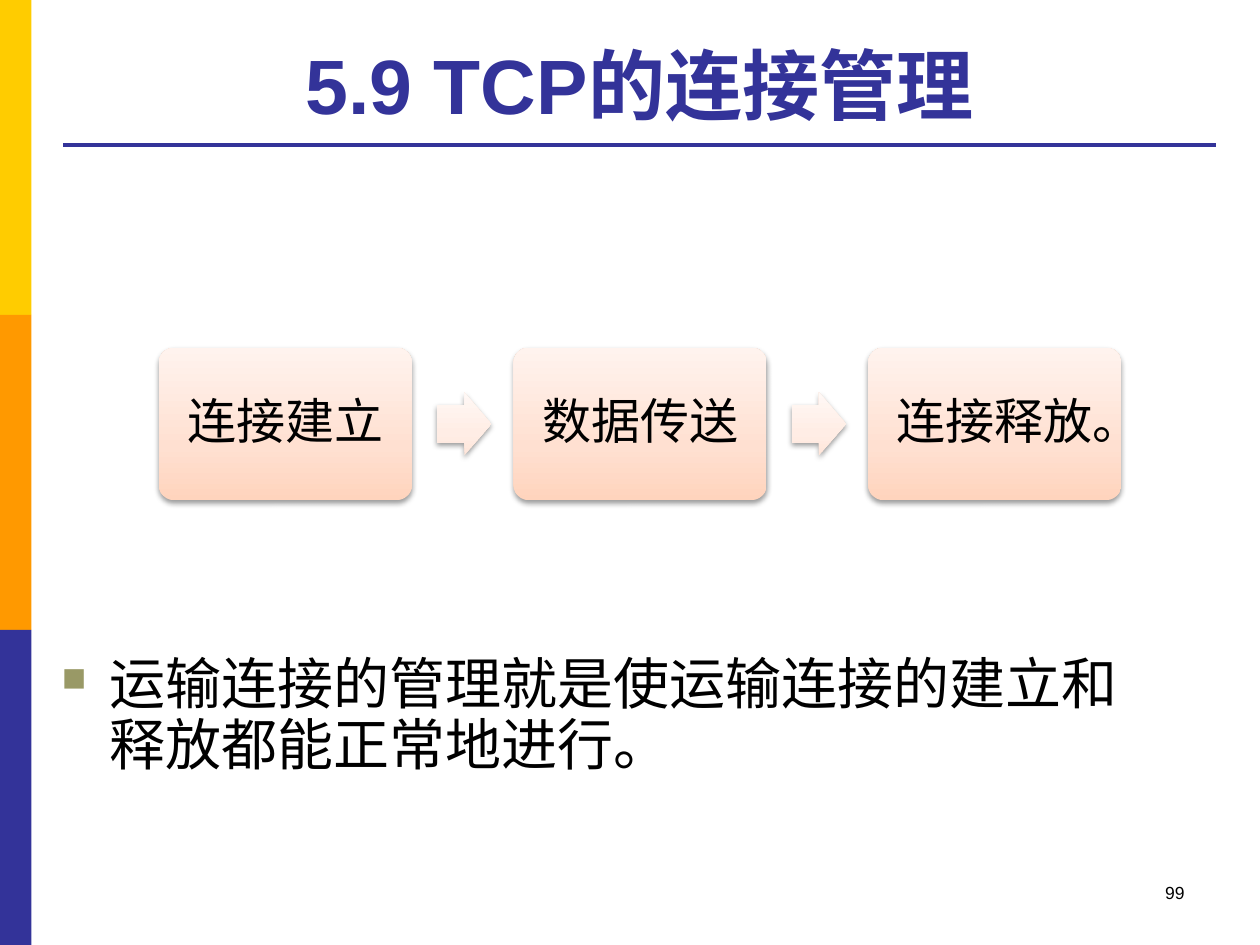
from lxml import etree
from pptx import Presentation, util as u
from pptx.dml.color import RGBColor
from pptx.enum import shapes, text
from pptx.oxml.ns import qn


def paint(color, hex_color):
    """Give a fill or font the hex colour."""
    if hasattr(color, "solid"):
        color.solid()
        color.fore_color.rgb = RGBColor.from_string(hex_color)
    else:
        color.color.rgb = RGBColor.from_string(hex_color)


def add_child(parent, tag, **attrs):
    return etree.SubElement(parent, qn(tag), attrs)


prs = Presentation()
prs.slide_width, prs.slide_height = u.Inches(10), u.Inches(7.5)
W, H = prs.slide_width, prs.slide_height
s = prs.slides.add_slide(prs.slide_layouts[5])

# Side band in three equal parts
for i, color in enumerate(["FFCC00", "FF9900", "333399"]):
    sp = s.shapes.add_shape(shapes.MSO_SHAPE.RECTANGLE,
                            0, H * i // 3, W // 40, H // 3)
    sp.shadow.inherit = False
    paint(sp.fill, color)
    sp.line.fill.background()

# Title and rule
left, width = int(W * 0.05), int(W * 0.915)
title = s.shapes.title
title.left, title.top = left, u.Inches(0.21)
title.width, title.height = width, u.Inches(0.87)
tf = title.text_frame
tf.text = "5.9 TCP的连接管理"
tf.vertical_anchor = text.MSO_ANCHOR.BOTTOM
p = tf.paragraphs[0]
p.alignment = text.PP_ALIGN.CENTER
font = p.runs[0].font
font.name, font.size, font.bold = "Arial", u.Pt(44), True
paint(font, "333399")

rule = s.shapes.add_connector(shapes.MSO_CONNECTOR.STRAIGHT,
                              left, u.Inches(1.15), left + width, u.Inches(1.15))
rule.line.width = u.Pt(2.25)
paint(rule.line, "333399")
add_child(rule._element.spPr, "a:effectLst")

# Process: boxes on a regular pitch, an arrow in each gap
start, pitch, middle = 1.26, 2.815, 3.365
box = (shapes.MSO_SHAPE.ROUNDED_RECTANGLE, 2.01, 1.21, [0.1],
       ["FFD4BD", "FFE0D1", "FFF3EE"])
arrow = (shapes.MSO_SHAPE.RIGHT_ARROW, 0.43, 0.5, [0.6, 0.5],
         ["FFE6DA", "FFEDE5", "FFF8F5"])
steps = ["连接建立", "", "数据传送", "", "连接释放。"]
for i, label in enumerate(steps):
    kind, w, h, adjustments, colors = box if label else arrow
    x = start + i // 2 * pitch + (0 if label else 2.21)
    sp = s.shapes.add_shape(kind, u.Inches(x), u.Inches(middle - h / 2),
                            u.Inches(w), u.Inches(h))
    for n, value in enumerate(adjustments):
        sp.adjustments[n] = value
    sp.line.fill.background()

    sp.fill.gradient()
    sp.fill.gradient_angle = 90
    stops = sp._element.spPr.find(".//" + qn("a:gsLst"))
    for stop in list(stops):
        stops.remove(stop)
    for pos, color in zip([0, 35000, 100000], colors):
        add_child(add_child(stops, "a:gs", pos=str(pos)), "a:srgbClr", val=color)

    sp.shadow.inherit = False
    shadow = add_child(sp._element.spPr.find(qn("a:effectLst")), "a:outerShdw",
                       blurRad=str(u.Pt(3.1)), dist=str(u.Pt(1.6)),
                       dir="5400000", rotWithShape="0")
    add_child(add_child(shadow, "a:srgbClr", val="000000"), "a:alpha", val="38000")

    if label:
        tf = sp.text_frame
        tf.text = label
        tf.word_wrap = True
        tf.vertical_anchor = text.MSO_ANCHOR.MIDDLE
        tf.margin_left = tf.margin_right = u.Inches(0.14)
        tf.margin_top = tf.margin_bottom = u.Inches(0.14)
        p = tf.paragraphs[0]
        p.alignment, p.line_spacing = text.PP_ALIGN.CENTER, 0.9
        font = p.runs[0].font
        font.name, font.size = "Arial", u.Pt(28)
        paint(font, "000000")

# Bulleted statement and page number
notes = [
    ("运输连接的管理就是使运输连接的建立和释放都能正常地进行。",
     (0.39, 5.16, 8.94, 1.02), "Times New Roman", 32, text.PP_ALIGN.LEFT),
    ("99", (7.17, 6.95, 2.33, 0.5), "Arial", 10, text.PP_ALIGN.RIGHT),
]
for words, place, face, size, align in notes:
    tf = s.shapes.add_textbox(*map(u.Inches, place)).text_frame
    tf.text = words
    tf.word_wrap = True
    p = tf.paragraphs[0]
    p.alignment = align
    if align == text.PP_ALIGN.LEFT:
        p.line_spacing = 0.9
        pPr = p._p.get_or_add_pPr()
        pPr.set("marL", str(u.Inches(0.38)))
        pPr.set("indent", str(u.Inches(-0.38)))
        add_child(add_child(pPr, "a:buClr"), "a:srgbClr", val="999966")
        add_child(pPr, "a:buSzPct", val="60000")
        add_child(pPr, "a:buChar", char="■")
    font = p.runs[0].font
    font.name, font.size = face, u.Pt(size)
    paint(font, "000000")

prs.save("out.pptx")
